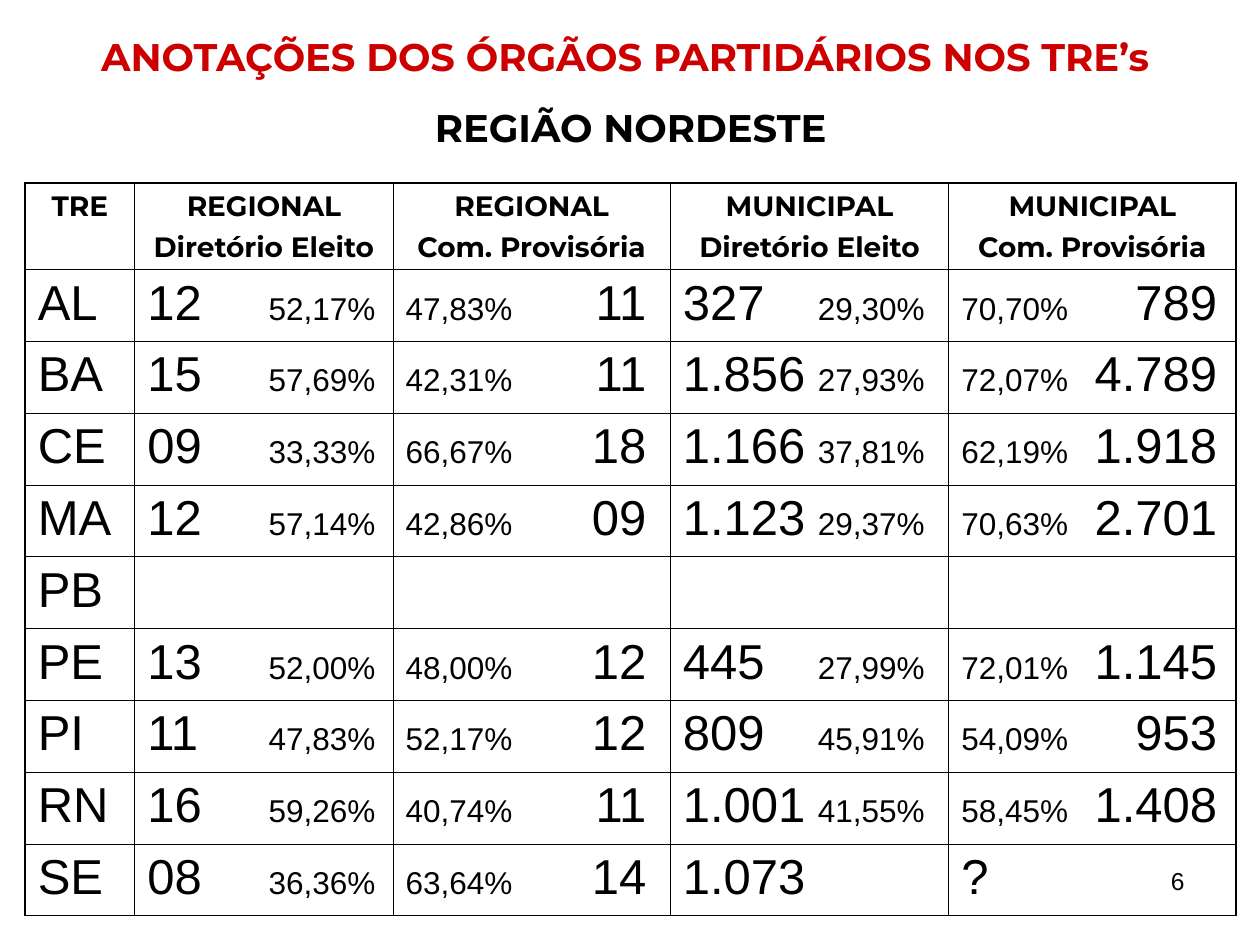
"""Build the slide on party body records in the Northeast regional courts."""
from dataclasses import dataclass

from lxml.etree import SubElement
from pptx import Presentation
from pptx.dml.color import RGBColor
from pptx.enum.text import PP_ALIGN as Align
from pptx.oxml.ns import qn
from pptx.util import Inches, Pt

BLACK = RGBColor(0x00, 0x00, 0x00)
RED = RGBColor(0xCC, 0x00, 0x00)
HEADING_FONT = "Montserrat"
BODY_FONT = "Arial"
SLIDE_WIDTH, SLIDE_HEIGHT = Inches(10), Inches(7.5)
MARGIN, CONTENT_WIDTH = 0.02, 0.961
COLUMN_SHARES = (0.087, 0.205, 0.22, 0.221, 0.228)
HEADER_HEIGHT, ROW_HEIGHT = Inches(0.69), Inches(0.57)
TAB_STOPS = (None, 1.81, 1.91, 1.92, 2.03)
THIN, THICK = Pt(0.45), Pt(1.08)


@dataclass(frozen=True)
class Style:
    """Font settings of a run."""

    size: float
    font: str = BODY_FONT
    color: RGBColor = BLACK
    bold: bool = False


@dataclass(frozen=True)
class Court:
    """Figures of one state, elected and provisional."""

    state: str
    regional_elected: tuple = ()
    regional_provisional: tuple = ()
    municipal_elected: tuple = ()
    municipal_provisional: tuple = ()

    def entries(self) -> tuple:
        """Return the five cell contents in column order."""
        return ((self.state,), self.regional_elected, self.regional_provisional,
                self.municipal_elected, self.municipal_provisional)


TITLE = Style(22, HEADING_FONT, RED, True)
SUBTITLE = Style(22, HEADING_FONT, BLACK, True)
HEADER = Style(16, HEADING_FONT, BLACK, True)
COUNT, PERCENT, NUMBER = Style(28), Style(18), Style(14)

HEADERS = (
    ("TRE",),
    ("REGIONAL", "Diretório Eleito"),
    ("REGIONAL", "Com. Provisória"),
    ("MUNICIPAL", "Diretório Eleito"),
    ("MUNICIPAL", "Com. Provisória"),
)
COURTS = (
    Court("AL", ("12", "52,17%"), ("47,83%", "11"), ("327", "29,30%"), ("70,70%", "789")),
    Court("BA", ("15", "57,69%"), ("42,31%", "11"), ("1.856", "27,93%"), ("72,07%", "4.789")),
    Court("CE", ("09", "33,33%"), ("66,67%", "18"), ("1.166", "37,81%"), ("62,19%", "1.918")),
    Court("MA", ("12", "57,14%"), ("42,86%", "09"), ("1.123", "29,37%"), ("70,63%", "2.701")),
    Court("PB"),
    Court("PE", ("13", "52,00%"), ("48,00%", "12"), ("445", "27,99%"), ("72,01%", "1.145")),
    Court("PI", ("11", "47,83%"), ("52,17%", "12"), ("809", "45,91%"), ("54,09%", "953")),
    Court("RN", ("16", "59,26%"), ("40,74%", "11"), ("1.001", "41,55%"), ("58,45%", "1.408")),
    Court("SE", ("08", "36,36%"), ("63,64%", "14"), ("1.073",), ("?",)),
)


def add_run(paragraph, text: str, style: Style) -> None:
    """Append a styled run to a paragraph."""
    run = paragraph.add_run()
    run.text = text
    run.font.name = style.font
    run.font.size = Pt(style.size)
    run.font.bold = style.bold
    run.font.color.rgb = style.color


def add_lines(frame, lines: tuple, align: Align, space_before: float = 0) -> None:
    """Fill a text frame with one paragraph for each text and style."""
    for index, (text, style) in enumerate(lines):
        paragraph = frame.add_paragraph() if index else frame.paragraphs[0]
        paragraph.alignment = align
        paragraph.space_before = Pt(space_before)
        add_run(paragraph, text, style)


def add_label(slide, left: float, top: float, width: float, height: float,
              lines: tuple, align: Align, space_before: float = 0) -> None:
    """Add a wrapped text box placed by shares of the slide."""
    box = slide.shapes.add_textbox(
        int(SLIDE_WIDTH * left), int(SLIDE_HEIGHT * top),
        int(SLIDE_WIDTH * width), int(SLIDE_HEIGHT * height))
    box.text_frame.word_wrap = True
    add_lines(box.text_frame, lines, align, space_before)


def add_tab_stop(paragraph, position: float) -> None:
    """Give a paragraph one right-aligned tab stop."""
    tabs = SubElement(paragraph._p.get_or_add_pPr(), qn("a:tabLst"))
    SubElement(tabs, qn("a:tab"), pos=str(Inches(position)), algn="r")


def add_entry(cell, parts: tuple, tab_stop: float | None) -> None:
    """Write a count and a percentage to the two sides of a cell."""
    paragraph = cell.text_frame.paragraphs[0]
    paragraph.space_before = Pt(4.5)
    if len(parts) > 1:
        add_tab_stop(paragraph, tab_stop)
    for index, part in enumerate(parts):
        if index:
            add_run(paragraph, "\t", PERCENT)
        add_run(paragraph, part, PERCENT if part.endswith("%") else COUNT)


def frame_cell(cell, outer_sides: dict) -> None:
    """Draw the four borders of a cell, thick on the outer sides."""
    properties = cell._tc.get_or_add_tcPr()
    for side, outer in outer_sides.items():
        line = SubElement(properties, qn(f"a:ln{side}"), w=str(THICK if outer else THIN))
        fill = SubElement(line, qn("a:solidFill"))
        SubElement(fill, qn("a:srgbClr"), val=str(BLACK))
    cell.fill.background()


def add_court_table(slide) -> None:
    """Add the table of courts with its headers."""
    row_count, column_count = len(COURTS) + 1, len(HEADERS)
    table = slide.shapes.add_table(
        row_count, column_count, int(SLIDE_WIDTH * MARGIN), Inches(1.45),
        int(SLIDE_WIDTH * CONTENT_WIDTH), HEADER_HEIGHT + ROW_HEIGHT * len(COURTS)).table
    table.first_row = table.horz_banding = False
    for column, share in zip(table.columns, COLUMN_SHARES):
        column.width = int(SLIDE_WIDTH * share)
    for index, row in enumerate(table.rows):
        row.height = ROW_HEIGHT if index else HEADER_HEIGHT
        for position, cell in enumerate(row.cells):
            frame_cell(cell, {"L": position == 0, "R": position == column_count - 1,
                              "T": index == 0, "B": index == row_count - 1})
            if index:
                add_entry(cell, COURTS[index - 1].entries()[position], TAB_STOPS[position])
            else:
                lines = tuple((text, HEADER) for text in HEADERS[position])
                add_lines(cell.text_frame, lines, Align.CENTER, 4)


def main() -> None:
    """Build and save the presentation."""
    presentation = Presentation()
    presentation.slide_width, presentation.slide_height = SLIDE_WIDTH, SLIDE_HEIGHT
    slide = presentation.slides.add_slide(presentation.slide_layouts[6])
    headings = (("ANOTAÇÕES DOS ÓRGÃOS PARTIDÁRIOS NOS TRE’s ", TITLE),
                ("REGIÃO NORDESTE", SUBTITLE))
    add_label(slide, MARGIN, 0.028, CONTENT_WIDTH, 0.33, headings, Align.CENTER, 14.6)
    add_court_table(slide)
    add_label(slide, 0.717, 0.91, 0.233, 0.07, (("6", NUMBER),), Align.RIGHT)
    presentation.save("out.pptx")


if __name__ == "__main__":
    main()
